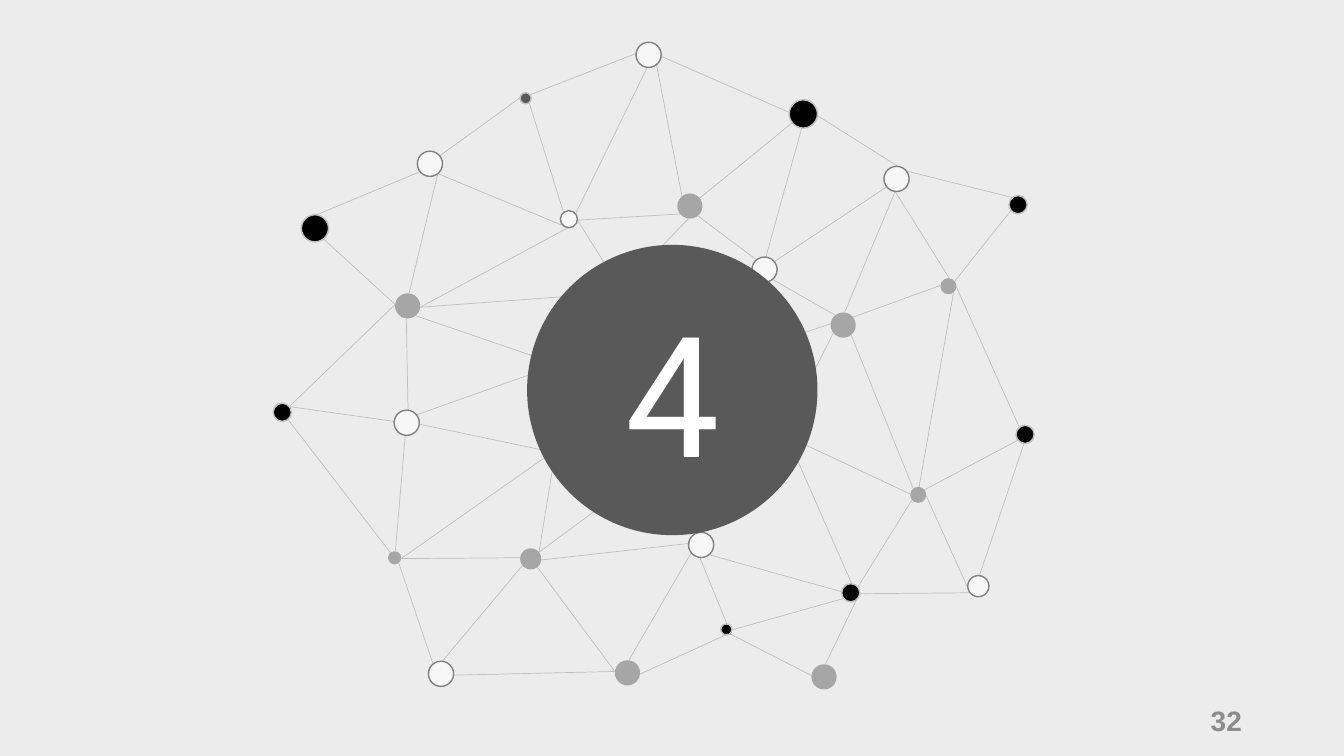
from dataclasses import dataclass
from math import cos, radians, sin
from typing import NamedTuple

from lxml.etree import SubElement
from pptx import Presentation
from pptx.dml.color import RGBColor
from pptx.enum.shapes import MSO_CONNECTOR, MSO_SHAPE
from pptx.enum.text import MSO_ANCHOR, PP_ALIGN
from pptx.oxml.ns import qn
from pptx.util import Pt

TILT = 6.2


class Style(NamedTuple):
    fill: str
    line: str | None = None


@dataclass(frozen=True)
class Node:
    x: float
    y: float
    d: float
    style: Style | None = None

    def port(self, k: int) -> tuple[float, float]:
        """Return rim point k of 8, counted clockwise from the right."""
        a = radians(TILT + 45 * k)
        return self.x + self.d / 2 * cos(a), self.y + self.d / 2 * sin(a)


class Edge(NamedTuple):
    a: str
    a_port: int
    b: str
    b_port: int


BLACK = Style("000000", "BFBFBF")
WHITE = Style("F7F7F7", "808080")
GRAY = Style("A6A6A6")
DARK = Style("595959", "BFBFBF")

HUB = Node(480.2, 278.6, 207.4, Style("595959"))
NODES = {
    "K1": Node(201.6, 294.5, 13, BLACK),
    "K2": Node(225, 163.1, 19.4, BLACK),
    "K3": Node(573.8, 81.4, 20.2, BLACK),
    "K4": Node(732.2, 310.3, 13, BLACK),
    "K5": Node(727.2, 146.2, 13, BLACK),
    "K6": Node(607.7, 423.4, 13, BLACK),
    "K7": Node(518.8, 449.6, 7.9, BLACK),
    "W1": Node(290.5, 302, 18, WHITE),
    "W2": Node(500.8, 389.2, 18, WHITE),
    "W3": Node(463.3, 39.2, 18, WHITE),
    "W4": Node(698.8, 418.7, 15.1, WHITE),
    "W5": Node(307.1, 117, 18, WHITE),
    "W6": Node(546.1, 192.6, 18, WHITE),
    "W7": Node(640.4, 127.8, 18, WHITE),
    "W8": Node(406.4, 156.6, 12.2, WHITE),
    "W9": Node(315, 481.3, 18, WHITE),
    "G1": Node(379.1, 399.2, 15.1, GRAY),
    "G2": Node(281.9, 398.5, 9.4, GRAY),
    "G3": Node(655.9, 353.5, 11.5, GRAY),
    "G4": Node(492.8, 147.2, 18, GRAY),
    "G5": Node(602.3, 232.2, 18, GRAY),
    "G6": Node(291.2, 218.5, 18, GRAY),
    "G7": Node(677.5, 204.5, 11.5, GRAY),
    "G8": Node(588.6, 483.5, 18, GRAY),
    "G9": Node(448.2, 480.6, 18, GRAY),
    "D1": Node(375.5, 70.2, 7.9, DARK),
    "H1": Node(389.9, 259.6, 7.9),
    "H2": Node(400.7, 323.6, 12.2),
    "H3": Node(560.5, 314.3, 19.4),
    "H4": Node(447.8, 347.8, 13),
    "H5": Node(490, 262.4, 18),
    "H6": Node(443.5, 205.2, 13),
}
EDGES = [Edge(*e) for e in (
    ("K1", 1, "G2", 5), ("G2", 6, "W1", 2), ("W1", 7, "H1", 1),
    ("G1", 7, "H2", 3), ("G3", 5, "G5", 1), ("G2", 0, "G1", 4),
    ("H4", 3, "G1", 7), ("G7", 1, "G3", 6), ("K4", 2, "W4", 6),
    ("W4", 3, "G3", 0), ("K2", 1, "G6", 4), ("W5", 7, "D1", 4),
    ("G5", 5, "W6", 1), ("W8", 0, "H6", 5), ("W3", 2, "W8", 7),
    ("K3", 4, "W3", 0), ("K3", 2, "W6", 6), ("W7", 6, "K3", 0),
    ("K2", 6, "W5", 3), ("W3", 4, "D1", 7), ("D1", 1, "W8", 5),
    ("W7", 7, "K5", 5), ("G7", 7, "K5", 3), ("W7", 2, "G7", 6),
    ("K4", 3, "G3", 7), ("W9", 0, "G9", 4), ("W9", 6, "G1", 3),
    ("W9", 5, "G2", 1), ("H3", 1, "K6", 6), ("H3", 0, "G3", 4),
    ("G3", 3, "K6", 7), ("W4", 3, "K6", 0), ("G8", 6, "K6", 1),
    ("G1", 0, "W2", 4), ("K7", 6, "W2", 2), ("K7", 0, "K6", 3),
    ("W2", 1, "K6", 4), ("G9", 4, "G1", 1), ("W1", 0, "H2", 4),
    ("K1", 7, "W1", 4), ("G6", 2, "W1", 6), ("G6", 1, "H1", 5),
    ("W5", 1, "G6", 6), ("W5", 1, "W8", 2), ("K1", 7, "G6", 4),
    ("G6", 0, "W8", 2), ("G6", 0, "H6", 3), ("K3", 3, "G4", 7),
    ("W3", 1, "G4", 5), ("W8", 0, "G4", 3), ("H6", 7, "G4", 2),
    ("W6", 5, "G4", 1), ("W7", 3, "W6", 7), ("G7", 4, "G5", 7),
    ("W7", 2, "G5", 6), ("G5", 3, "H3", 6), ("H5", 0, "G5", 4),
    ("G9", 6, "W2", 3), ("G9", 0, "K7", 2), ("K7", 1, "G8", 4),
    ("H2", 4, "G2", 0), ("G7", 0, "K4", 5),
)]


def color(code: str) -> RGBColor:
    """Turn a hex string into a colour."""
    return RGBColor.from_string(code)


def add_edge(s, edge: Edge) -> None:
    """Draw a thin line between the ports of two nodes."""
    ends = NODES[edge.a].port(edge.a_port) + NODES[edge.b].port(edge.b_port)
    c = s.shapes.add_connector(MSO_CONNECTOR.STRAIGHT, *map(Pt, ends))
    c.line.color.rgb = color("BFBFBF")
    c.line.width = Pt(0.5)
    SubElement(c._element.spPr, qn("a:effectLst"))


def add_node(s, node: Node):
    """Draw a node as a circle around its centre."""
    left, top = node.x - node.d / 2, node.y - node.d / 2
    sp = s.shapes.add_shape(MSO_SHAPE.OVAL, *map(Pt, (left, top, node.d, node.d)))
    sp.shadow.inherit = False
    sp.fill.solid()
    sp.fill.fore_color.rgb = color(node.style.fill)
    if node.style.line:
        sp.line.color.rgb = color(node.style.line)
        sp.line.width = Pt(1)
    else:
        sp.line.fill.background()
    return sp


def write(sp, text: str, *, font: str, size: float, fill: str,
          align: PP_ALIGN, bold: bool = False) -> None:
    """Put one formatted, vertically centred line of text in a shape."""
    tf = sp.text_frame
    tf.word_wrap = True
    tf.vertical_anchor = MSO_ANCHOR.MIDDLE
    p = tf.paragraphs[0]
    p.alignment = align
    r = p.add_run()
    r.text = text
    r.font.name, r.font.size, r.font.bold = font, Pt(size), bold
    r.font.color.rgb = color(fill)


def main() -> None:
    """Build the section slide and save it."""
    prs = Presentation()
    prs.slide_width, prs.slide_height = Pt(960), Pt(540)
    s = prs.slides.add_slide(prs.slide_layouts[6])
    s.background.fill.solid()
    s.background.fill.fore_color.rgb = color("ECECEC")
    for edge in EDGES:
        add_edge(s, edge)
    for node in NODES.values():
        if node.style:
            add_node(s, node)
    write(add_node(s, HUB), "4", font="Roboto", size=120, fill="FFFFFF",
          align=PP_ALIGN.CENTER)
    number = s.shapes.add_textbox(Pt(678.2), Pt(500.4), Pt(216), Pt(28.8))
    write(number, "32", font="Arial", size=20, fill="8C8C8C",
          align=PP_ALIGN.RIGHT, bold=True)
    prs.save("out.pptx")


if __name__ == "__main__":
    main()
